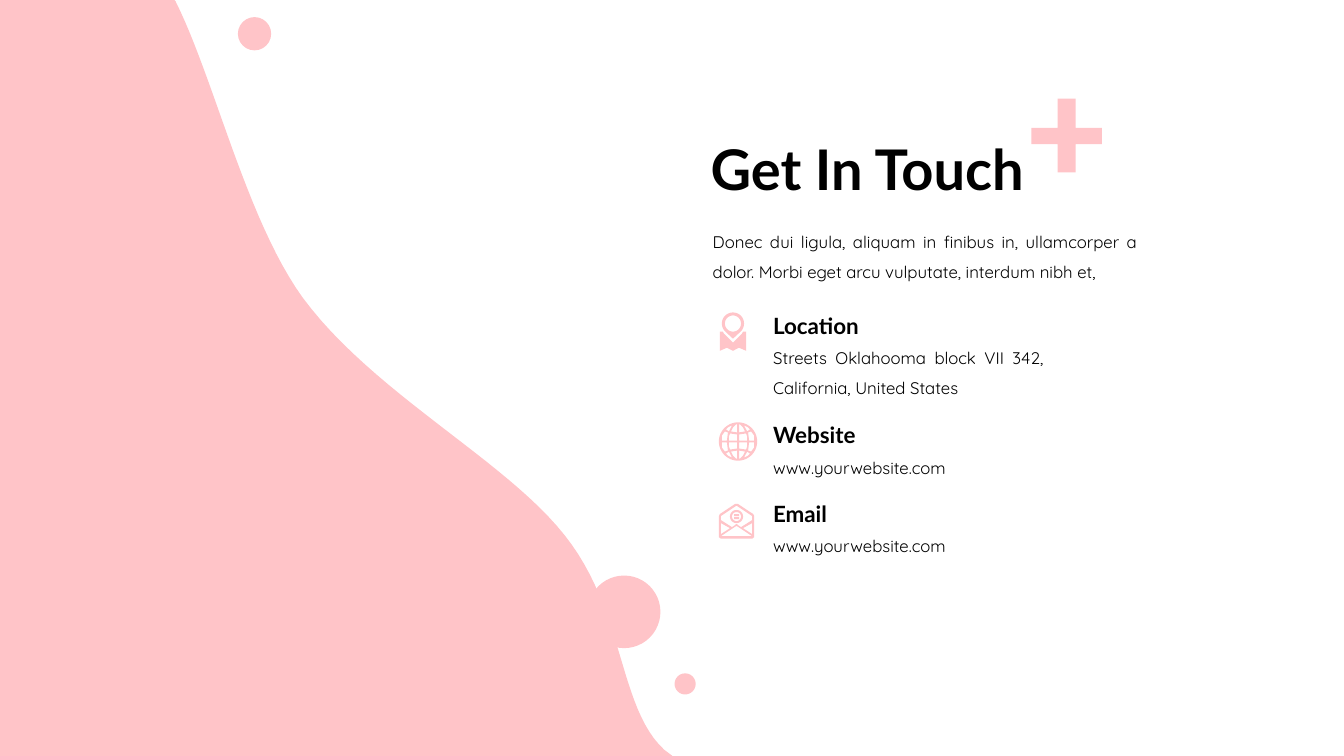
from dataclasses import dataclass
from math import cos, radians, sin

from pptx import Presentation
from pptx.dml.color import RGBColor
from pptx.enum.shapes import MSO_SHAPE as Preset
from pptx.enum.text import MSO_ANCHOR as Anchor
from pptx.enum.text import MSO_AUTO_SIZE as AutoSize
from pptx.enum.text import PP_ALIGN as Align
from pptx.shapes.autoshape import Shape
from pptx.slide import Slide
from pptx.util import Inches, Pt

PINK = RGBColor(0xFF, 0xC4, 0xC8)
BLACK = RGBColor(0, 0, 0)
HEADING_FONT = "Lato"
BODY_FONT = "Quicksand"

Point = tuple[float, float]
Contour = list[Point]


@dataclass(frozen=True)
class Dot:
    left: float
    top: float
    size: float


@dataclass(frozen=True)
class Contact:
    heading: str
    detail: str
    top: float
    width: float
    height: float


DOTS = [Dot(2.36, 0.17, 0.33), Dot(6.69, 6.68, 0.21), Dot(5.83, 5.71, 0.72)]
CONTACTS = [
    Contact("Location", "Streets Oklahooma block VII 342, California, United States",
            2.91, 2.88, 0.71),
    Contact("Website", "www.yourwebsite.com", 4, 2.6, 0.4),
    Contact("Email", "www.yourwebsite.com", 4.78, 2.6, 0.4),
]


def bezier(start: Point, control_1: Point, control_2: Point, end: Point,
           steps: int = 24) -> Contour:
    points = []
    for step in range(1, steps + 1):
        t = step / steps
        weights = ((1 - t) ** 3, 3 * t * (1 - t) ** 2, 3 * t ** 2 * (1 - t), t ** 3)
        corners = (start, control_1, control_2, end)
        points.append((sum(w * x for w, (x, _) in zip(weights, corners)),
                       sum(w * y for w, (_, y) in zip(weights, corners))))
    return points


def arc(center: Point, radius: float, start: int = 0, end: int = 360) -> Contour:
    return [(center[0] + radius * cos(radians(angle)),
             center[1] + radius * sin(radians(angle)))
            for angle in range(start, end + 1, 6)]


def bar(left: float, top: float, right: float, bottom: float) -> Contour:
    return [(left, top), (right, top), (right, bottom), (left, bottom)]


def mirrored(half: Contour, axis: float) -> Contour:
    return half + [(2 * axis - x, y) for x, y in reversed(half)]


def wave() -> list[Contour]:
    edge = [(1.73, 0), (0, 0), (0, 7.5), (6.67, 7.5), (6.59, 7.44)]
    for bend in (
        ((6.13, 7.02), (6.2, 6.06), (5.6, 5.31)),
        ((5.01, 4.56), (3.7, 3.9), (3, 2.95)),
        ((2.44, 2.17), (2.13, 0.79), (1.74, 0.01)),
    ):
        edge += bezier(edge[-1], *bend)
    return [edge]


def plus() -> list[Contour]:
    right_half = [(10.67, 0.98), (10.67, 1.27), (10.93, 1.27),
                  (10.93, 1.43), (10.67, 1.43), (10.67, 1.71)]
    return [mirrored(right_half, 10.58)]


def pin() -> list[Contour]:
    center = (7.27, 3.21)
    map_half = [(7.27, 3.4), (7.36, 3.31), (7.37, 3.29), (7.4, 3.29),
                (7.4, 3.48), (7.33, 3.45), (7.27, 3.48)]
    return [[(7.27, 3.36)] + arc(center, 0.11, 135, 405), arc(center, 0.08),
            mirrored(map_half, 7.27)]


def globe() -> list[Contour]:
    x, y = center = (7.32, 4.38)
    quadrant = [
        [(0.01, 0.01), (0.09, 0.01), (0.09, 0.05), (0.08, 0.08), (0.01, 0.07)],
        [(0.11, 0.01), (0.16, 0.01), (0.16, 0.06), (0.13, 0.1), (0.1, 0.09)],
        [(0.01, 0.09), (0.07, 0.1), (0.05, 0.14), (0.02, 0.17), (0.01, 0.17)],
        [(0.09, 0.1), (0.12, 0.12), (0.1, 0.14), (0.06, 0.16)],
    ]
    return [arc(center, 0.19)] + [
        [(x + side * dx, y + pole * dy) for dx, dy in cell]
        for side in (-1, 1) for pole in (-1, 1) for cell in quadrant]


def envelope() -> list[Contour]:
    axis = 7.305
    seal = (axis, 5.125)
    body = [(7.32, 5), (7.47, 5.1), (7.48, 5.12), (7.48, 5.33), (7.46, 5.345)]
    letter = [(7.31, 5.02), (7.46, 5.12), (7.46, 5.16), (7.35, 5.23),
              (7.32, 5.21), (7.31, 5.2)]
    front = [(7.31, 5.22), (7.46, 5.32)]
    right_flap = [(7.46, 5.19), (7.37, 5.24), (7.46, 5.3)]
    left_flap = [(2 * axis - x, y) for x, y in right_flap]
    return [mirrored(half, axis) for half in (body, letter, front)] + [
        right_flap, left_flap, arc(seal, 0.065), arc(seal, 0.045),
        bar(7.28, 5.1, 7.33, 5.12), bar(7.28, 5.13, 7.33, 5.15)]


def paint(shape: Shape) -> None:
    shape.fill.solid()
    shape.fill.fore_color.rgb = PINK
    shape.line.fill.background()
    shape.shadow.inherit = False


def add_outline(slide: Slide, contours: list[Contour]) -> None:
    scaled = [[(Inches(x), Inches(y)) for x, y in contour] for contour in contours]
    builder = slide.shapes.build_freeform(*scaled[0][0])
    for index, (first, *rest) in enumerate(scaled):
        if index:
            builder.move_to(*first)
        builder.add_line_segments(rest, close=True)
    paint(builder.convert_to_shape())


def add_dot(slide: Slide, dot: Dot) -> None:
    paint(slide.shapes.add_shape(Preset.OVAL, Inches(dot.left), Inches(dot.top),
                                 Inches(dot.size), Inches(dot.size)))


def add_text(slide: Slide, text: str, left: float, top: float, width: float,
             height: float, size: int, font_name: str, bold: bool = False,
             spacing: float = 1.5, align: Align = Align.JUSTIFY,
             anchor: Anchor = Anchor.TOP,
             auto_size: AutoSize = AutoSize.SHAPE_TO_FIT_TEXT) -> None:
    frame = slide.shapes.add_textbox(Inches(left), Inches(top), Inches(width),
                                     Inches(height)).text_frame
    frame.word_wrap = True
    frame.auto_size = auto_size
    frame.vertical_anchor = anchor
    frame.text = text
    paragraph = frame.paragraphs[0]
    paragraph.alignment = align
    paragraph.line_spacing = spacing
    font = paragraph.runs[0].font
    font.name = font_name
    font.size = Pt(size)
    font.bold = bold
    font.color.rgb = BLACK


def main() -> None:
    presentation = Presentation()
    presentation.slide_width = Inches(13.33)
    presentation.slide_height = Inches(7.5)
    slide = presentation.slides.add_slide(presentation.slide_layouts[6])

    for contours in (wave(), plus(), pin(), globe(), envelope()):
        add_outline(slide, contours)
    for dot in DOTS:
        add_dot(slide, dot)

    add_text(slide, "Get In Touch", 6.95, 0.98, 5.08, 1.45, 40, HEADING_FONT,
             bold=True, spacing=0.9, align=Align.LEFT, anchor=Anchor.MIDDLE,
             auto_size=AutoSize.NONE)
    add_text(slide, "Donec dui ligula, aliquam in finibus in, ullamcorper a dolor. "
             "Morbi eget arcu vulputate, interdum nibh et,",
             6.97, 2.15, 4.41, 0.71, 12, BODY_FONT)
    for contact in CONTACTS:
        add_text(slide, contact.heading, 7.57, contact.top, 2.6, 0.46, 16,
                 HEADING_FONT, bold=True)
        add_text(slide, contact.detail, 7.57, contact.top + 0.39, contact.width,
                 contact.height, 12, BODY_FONT)

    presentation.save("out.pptx")


if __name__ == "__main__":
    main()
